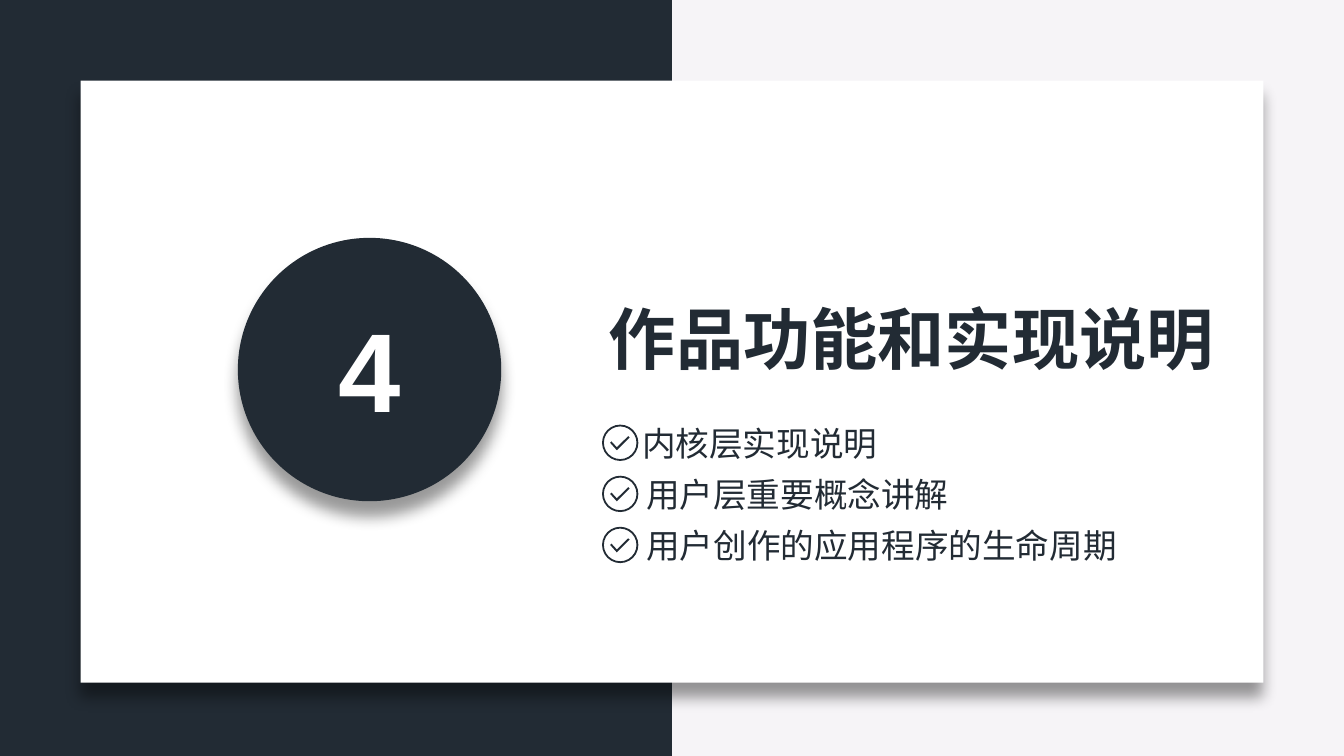
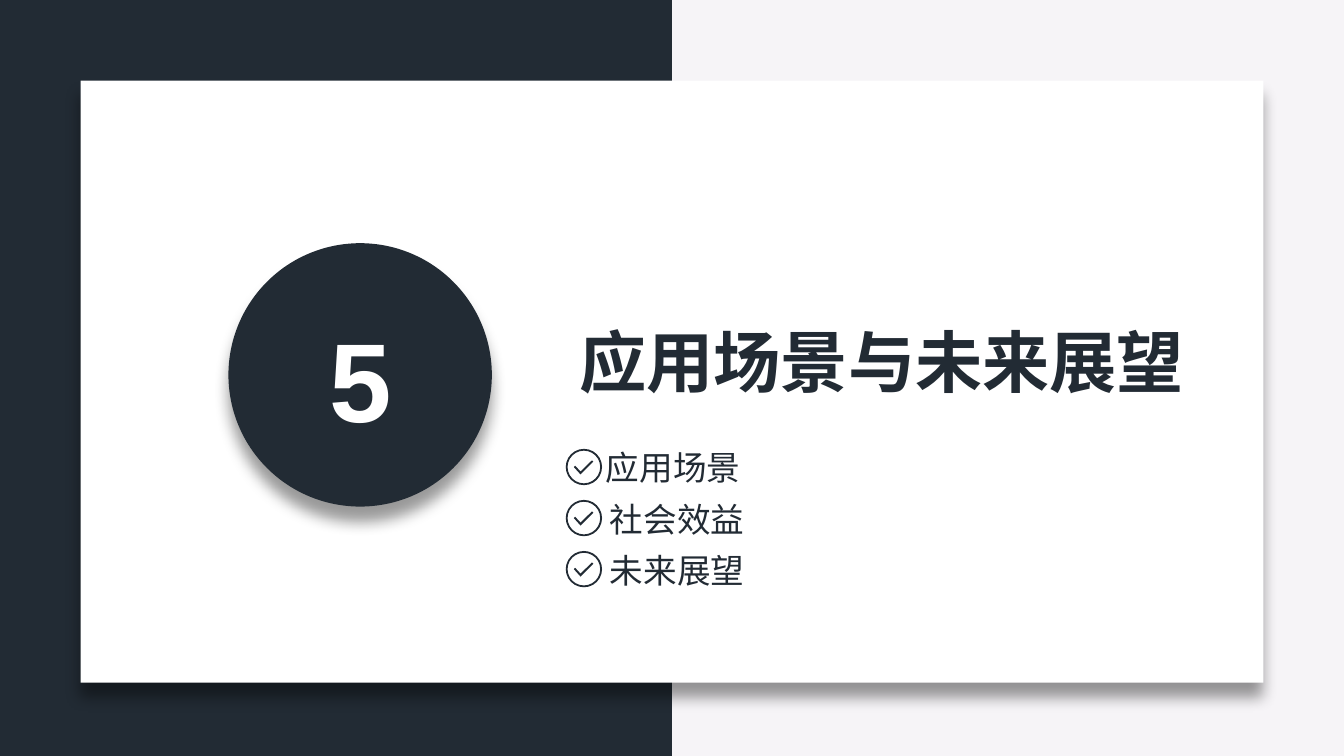
from dataclasses import dataclass

from lxml import etree
from pptx import Presentation
from pptx import util as u
from pptx.dml.color import RGBColor
from pptx.enum import shapes, text
from pptx.oxml.ns import qn


@dataclass(frozen=True)
class Theme:
    dark: str = "222B34"
    light: str = "F6F4F7"
    white: str = "FFFFFF"
    shadow: str = "000000"
    cjk: str = "Noto Sans CJK SC"
    latin: str = "Arial"
    title: int = 36
    label: int = 18
    number: int = 60


T = Theme()
W = 10
H = W * 9 / 16
CARD = (0.6, 0.6, 8.8, 4.48)
CIRCLE = 1.96
MARK = 0.27
PITCH = 0.38
TICK = [(60, 135), (70, 125), (110, 168), (195, 85), (205, 95), (110, 190)]

SECTIONS = [
    dict(number="4", title="作品功能和实现说明",
         circle=(1.77, 1.77), digit=(0.45, 0.42),
         heading=(4.43, 2.16), topics=(4.48, 3.16),
         items=["内核层实现说明", "用户层重要概念讲解", "用户创作的应用程序的生命周期"]),
    dict(number="5", title="应用场景与未来展望",
         circle=(1.7, 1.81), digit=(0.45, 0.45),
         heading=(4.21, 2.33), topics=(4.21, 3.34),
         items=["应用场景", "社会效益", "未来展望"]),
]


def apply(obj, values):
    for name, value in values.items():
        setattr(obj, name, value)


def box(x, y, w, h):
    return [u.Inches(v) for v in (x, y, w, h)]


def paint(sp, color):
    sp.fill.solid()
    sp.fill.fore_color.rgb = RGBColor.from_string(color)
    sp.line.fill.background()
    sp.shadow.inherit = False
    return sp


def add_filled(parent, kind, area, color):
    return paint(parent.add_shape(kind, *box(*area)), color)


def drop_shadow(sp):
    effects = sp._element.spPr.find(qn("a:effectLst"))
    outer = etree.SubElement(effects, qn("a:outerShdw"), blurRad=str(u.Pt(8)),
                             dist=str(u.Pt(8)), dir="5400000", algn="t", rotWithShape="0")
    color = etree.SubElement(outer, qn("a:srgbClr"), val=T.shadow)
    etree.SubElement(color, qn("a:alpha"), val="40000")


def write(sp, words, size, color, face, bold=False, wrap=False,
          align=text.PP_ALIGN.LEFT):
    tf = sp.text_frame
    apply(tf, dict(word_wrap=wrap, auto_size=text.MSO_AUTO_SIZE.SHAPE_TO_FIT_TEXT,
                   vertical_anchor=text.MSO_ANCHOR.TOP,
                   margin_left=u.Inches(0.1), margin_right=u.Inches(0.1),
                   margin_top=u.Inches(0.05), margin_bottom=u.Inches(0.05)))
    p = tf.paragraphs[0]
    p.alignment = align
    r = p.add_run()
    r.text = words
    apply(r.font, dict(size=u.Pt(size), bold=bold, name=face))
    r.font.color.rgb = RGBColor.from_string(color)
    etree.SubElement(r.font._element, qn("a:ea"), typeface=face)


def set_backdrop(layout, s):
    layout.background.fill.solid()
    layout.background.fill.fore_color.rgb = RGBColor.from_string(T.light)
    band = add_filled(s.shapes, shapes.MSO_SHAPE.RECTANGLE, (0, 0, W / 2, H), T.dark)
    layout.shapes._spTree.insert(2, band._element)


def add_card(s):
    drop_shadow(add_filled(s.shapes, shapes.MSO_SHAPE.RECTANGLE, CARD, T.white))


def add_number(s, number, x, y, digit):
    drop_shadow(add_filled(s.shapes, shapes.MSO_SHAPE.OVAL, (x, y, CIRCLE, CIRCLE), T.dark))
    tb = s.shapes.add_textbox(*box(x + digit[0], y + digit[1], 1.06, 1.11))
    write(tb, number, T.number, T.white, T.latin, bold=True, wrap=True,
          align=text.PP_ALIGN.CENTER)


def add_heading(s, title, x, y):
    sp = s.shapes.title
    apply(sp, dict(zip(("left", "top", "width", "height"), box(x, y, 4.75, 0.71))))
    write(sp, title, T.title, T.dark, T.cjk, bold=True)
    s.shapes._spTree.append(sp._element)


def add_check(s, x, y):
    group = s.shapes.add_group_shape().shapes
    ring = add_filled(group, shapes.MSO_SHAPE.DONUT, (x, y, MARK, MARK), T.dark)
    ring.adjustments[0] = 0.05
    fb = group.build_freeform(*TICK[0], scale=u.Inches(1) / 1000)
    fb.add_line_segments(TICK[1:], close=True)
    paint(fb.convert_to_shape(u.Inches(x), u.Inches(y)), T.dark)


def add_topics(s, items, x, y):
    for i, item in enumerate(items):
        top = y + i * PITCH
        add_check(s, x, top)
        indent = 0.23 if i else 0.2
        tb = s.shapes.add_textbox(*box(x + indent, top - 0.06, 0.25 * len(item) + 0.22, 0.4))
        write(tb, item, T.label, T.dark, T.cjk)


def add_section(s, number, title, circle, digit, heading, topics, items):
    add_card(s)
    add_number(s, number, *circle, digit)
    add_heading(s, title, *heading)
    add_topics(s, items, *topics)


def main():
    prs = Presentation()
    apply(prs, dict(slide_width=u.Inches(W), slide_height=u.Inches(H)))
    layout = prs.slide_layouts[5]
    for i, section in enumerate(SECTIONS):
        s = prs.slides.add_slide(layout)
        if i == 0:
            set_backdrop(layout, s)
        add_section(s, **section)
    prs.save("out.pptx")


if __name__ == "__main__":
    main()
